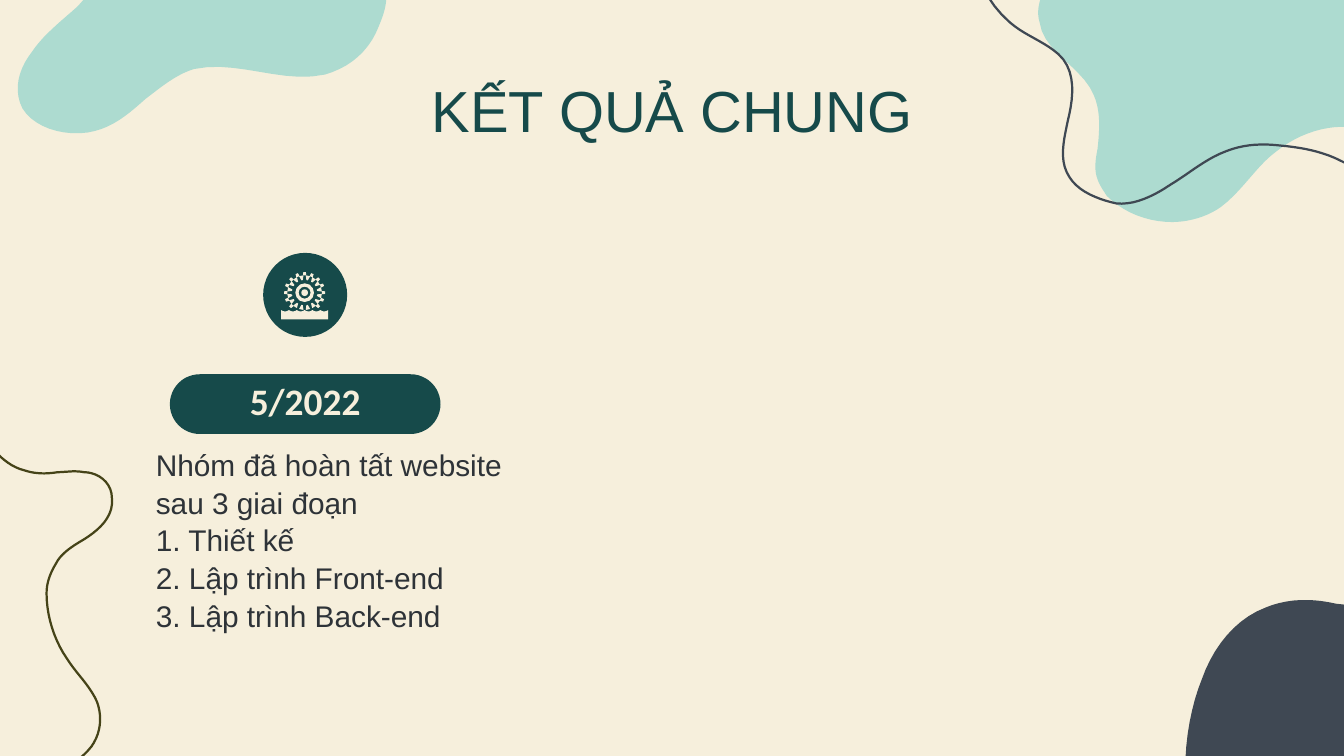
from dataclasses import dataclass
from math import cos, radians, sin

from lxml import etree
from pptx import Presentation
from pptx.dml.color import RGBColor
from pptx.enum.shapes import MSO_SHAPE
from pptx.enum.text import MSO_ANCHOR, PP_ALIGN
from pptx.oxml.ns import qn
from pptx.util import Pt

OVAL, DONUT, PILL = MSO_SHAPE.OVAL, MSO_SHAPE.DONUT, MSO_SHAPE.ROUNDED_RECTANGLE
TOP, MIDDLE = MSO_ANCHOR.TOP, MSO_ANCHOR.MIDDLE
LEFT, CENTER = PP_ALIGN.LEFT, PP_ALIGN.CENTER


@dataclass(frozen=True)
class Theme:
    """Colours, fonts and type sizes of the slide."""
    cream: str = "F6EFDC"
    mint: str = "ADDBD0"
    slate: str = "3F4853"
    olive: str = "454318"
    teal: str = "164A4A"
    ink: str = "2E3338"
    font: str = "Arial"
    date_font: str = "Calibri"
    title_size: float = 31
    date_size: float = 20
    body_size: float = 16
    stroke: float = 1.2


THEME = Theme()

MINT_RIGHT = [
    (50, -6), (47, -1), (45, 6), (47, 12), (49, 28), (70, 36), (76, 51),
    (80, 60), (79, 71), (78, 80), (77, 85), (76, 91), (78, 96),
    (79, 99), (81, 102), (83, 105), (92, 114), (105, 119), (118, 119),
    (127, 119), (137, 116), (144, 111), (156, 102), (163, 89), (174, 81),
    (184, 73), (197, 68), (209, 68), (211, 68), (212, 68), (214, 68),
    (222, 69), (229, 71), (237, 71)]
SLATE_LINE = [
    (18, -40), (7, -22), (16, -1), (31, 12), (39, 19), (49, 22), (57, 29),
    (67, 38), (65, 53), (62, 65), (60, 75), (57, 86), (63, 95),
    (68, 103), (79, 107), (88, 109), (98, 110), (108, 105), (117, 99),
    (127, 93), (136, 85), (147, 81), (157, 77), (167, 77), (176, 78),
    (187, 79), (198, 81), (208, 86), (222, 92), (232, 107), (248, 110)]
MINT_LEFT = [
    (51, -9), (48, -4), (45, 0), (41, 4), (32, 12), (23, 19), (17, 28),
    (10, 37), (7, 48), (12, 58), (18, 68), (33, 73), (47, 71),
    (60, 69), (69, 61), (78, 53), (86, 47), (94, 40), (104, 37),
    (127, 32), (151, 45), (174, 40), (188, 36), (198, 27), (203, 14),
    (205, 9), (207, 4), (207, -2), (207, -6), (206, -9), (205, -12)]
SLATE_HILL = [
    (124, 105), (124, 103), (125, 102), (126, 101), (131, 93), (133, 82), (135, 72),
    (137, 44), (130, 25), (113, 13), (105, 8), (96, 4), (83, 3),
    (70, 0), (57, 0), (45, 5), (29, 11), (17, 26), (11, 43),
    (4, 60), (0, 85), (3, 105)]
OLIVE_LINE = [
    (22, 182), (32, 177), (42, 173), (49, 164), (54, 157), (55, 148), (52, 140),
    (48, 131), (41, 125), (36, 117), (29, 107), (25, 94), (25, 82),
    (25, 76), (27, 71), (30, 66), (33, 60), (40, 56), (45, 53),
    (53, 48), (61, 41), (60, 31), (60, 22), (52, 17), (45, 17),
    (40, 16), (35, 17), (31, 17), (25, 18), (19, 18), (13, 16),
    (5, 14), (-1, 8), (-6, 2)]


def smooth(controls, steps=10):
    """Return points along a chain of cubic Bézier curves."""
    points = [controls[0]]
    for i in range(0, len(controls) - 3, 3):
        for step in range(1, steps + 1):
            t = step / steps
            weights = ((1 - t) ** 3, 3 * t * (1 - t) ** 2, 3 * t * t * (1 - t), t ** 3)
            points.append(tuple(sum(w * p[axis] for w, p in zip(weights, controls[i:i + 4]))
                                for axis in (0, 1)))
    return points


def paint(shape, color):
    """Give a shape a flat fill with no line or shadow."""
    shape.shadow.inherit = False
    shape.fill.solid()
    shape.fill.fore_color.rgb = RGBColor.from_string(color)
    shape.line.fill.background()
    return shape


def add_outline(shapes, origin, points, color, closed=True):
    """Draw a filled outline, or a stroked line when it is open."""
    x, y = origin
    vertices = [(Pt(x + px), Pt(y + py)) for px, py in points]
    builder = shapes.build_freeform(*vertices[0])
    builder.add_line_segments(vertices[1:], close=closed)
    outline = paint(builder.convert_to_shape(), color)
    if not closed:
        outline.fill.background()
        outline.line.color.rgb = RGBColor.from_string(color)
        outline.line.width = Pt(THEME.stroke)


def add_preset(shapes, kind, box, color):
    """Add a painted preset shape in a box given in points."""
    return paint(shapes.add_shape(kind, *map(Pt, box)), color)


def write(shape, lines, *, size, color, font=THEME.font, bold=False,
          align=LEFT, anchor=TOP, spacing=1.0):
    """Fill a shape with one formatted paragraph per line."""
    frame = shape.text_frame
    frame.word_wrap = True
    frame.vertical_anchor = anchor
    frame.margin_left = frame.margin_right = frame.margin_top = frame.margin_bottom = 0
    frame.text = "\n".join(lines)
    for paragraph in frame.paragraphs:
        paragraph.alignment = align
        paragraph.line_spacing = spacing
        paragraph.space_before = Pt(0)
        style = paragraph.runs[0].font
        style.name, style.size, style.bold = font, Pt(size), bold
        style.color.rgb = RGBColor.from_string(color)


def add_decor(shapes, width, height):
    """Place the blobs and lines in the corners of the slide."""
    right = (width - 210, 0)
    add_outline(shapes, right, smooth(MINT_RIGHT) + [(238, -6)], THEME.mint)
    add_outline(shapes, right, smooth(SLATE_LINE), THEME.slate, closed=False)
    add_outline(shapes, (0, 0), smooth(MINT_LEFT), THEME.mint)
    add_outline(shapes, (width - 87, height - 84.5), smooth(SLATE_HILL), THEME.slate)
    add_outline(shapes, (0, height - 169), smooth(OLIVE_LINE), THEME.olive, closed=False)


def add_ray(shapes, center, angle, inner, outer):
    """Draw one tapered ray between two (radius, half width) ends."""
    c, s = cos(radians(angle)), sin(radians(angle))
    corners = [(inner[0], -inner[1]), (outer[0], -outer[1]),
               (outer[0], outer[1]), (inner[0], inner[1])]
    points = [(r * c - w * s, r * s + w * c) for r, w in corners]
    add_outline(shapes, center, points, THEME.cream)


def add_sun_icon(shapes, box):
    """Draw the sun over waves on its round badge."""
    x, y, side = box
    add_preset(shapes, OVAL, (x, y, side, side), THEME.teal)
    icon = shapes.add_group_shape().shapes
    cx, cy = center = (x + side / 2 - 0.3, y + side / 2 - 1.2)
    for i in range(13):
        add_ray(icon, center, 135 + 22.5 * i, (9.2, 0.9), (11, 0.7))
    for i in range(16):
        add_ray(icon, center, 11.25 + 22.5 * i, (6.8, 0.4), (9.2, 1.2))
    ring = add_preset(icon, DONUT, (cx - 5, cy - 5, 10, 10), THEME.cream)
    ring.adjustments[0] = 0.18
    add_preset(icon, OVAL, (cx - 1.8, cy - 1.8, 3.6, 3.6), THEME.cream)
    wave = 25.2 / 6
    crest = [(0, 0)]
    for i in range(6):
        crest += [((i + 0.3) * wave, 1), ((i + 0.7) * wave, 1), ((i + 1) * wave, 0)]
    add_outline(icon, (cx - 12.6, cy + 9.3), smooth(crest) + [(25.2, 5), (0, 5)], THEME.cream)


def add_milestone(shapes, box, date, lines):
    """Place the icon, the date pill and its text in a column."""
    x, y, width = box
    add_sun_icon(shapes, (x + 57.5, y, 45))
    pill = add_preset(shapes, PILL, (x + 7.5, y + 65, 145, 32), THEME.teal)
    pill.adjustments[0] = 0.5
    details = shapes.add_textbox(*map(Pt, (x, y + 103, width, 104)))
    write(details, lines, size=THEME.body_size, color=THEME.ink, spacing=1.05)
    label = shapes.add_textbox(*map(Pt, (x, y + 69, 160, 25)))
    write(label, [date], size=THEME.date_size, color=THEME.cream, font=THEME.date_font,
          bold=True, align=CENTER, anchor=MIDDLE, spacing=0.8)


def add_results_slide(deck, width, height):
    """Build the results slide."""
    slide = deck.slides.add_slide(deck.slide_layouts[5])
    slide.background.fill.solid()
    slide.background.fill.fore_color.rgb = RGBColor.from_string(THEME.cream)
    add_decor(slide.shapes, width, height)
    title = slide.shapes.title
    title.left, title.top, title.width, title.height = map(Pt, (56, 36.5, width - 112, 36))
    write(title, ["KẾT QUẢ CHUNG"], size=THEME.title_size, color=THEME.teal,
          align=CENTER, spacing=1.1)
    body = title.text_frame._txBody.find(qn("a:bodyPr"))
    for fit in list(body):
        body.remove(fit)
    etree.SubElement(body, qn("a:noAutofit"))
    add_milestone(slide.shapes, (83.5, 135.5, 198), "5/2022", [
        "Nhóm đã hoàn tất website sau 3 giai đoạn", "1. Thiết kế",
        "2. Lập trình Front-end", "3. Lập trình Back-end"])


def main():
    """Create and save the deck."""
    width, height = 720, 405
    deck = Presentation()
    deck.slide_width, deck.slide_height = Pt(width), Pt(height)
    add_results_slide(deck, width, height)
    deck.save("out.pptx")


if __name__ == "__main__":
    main()
